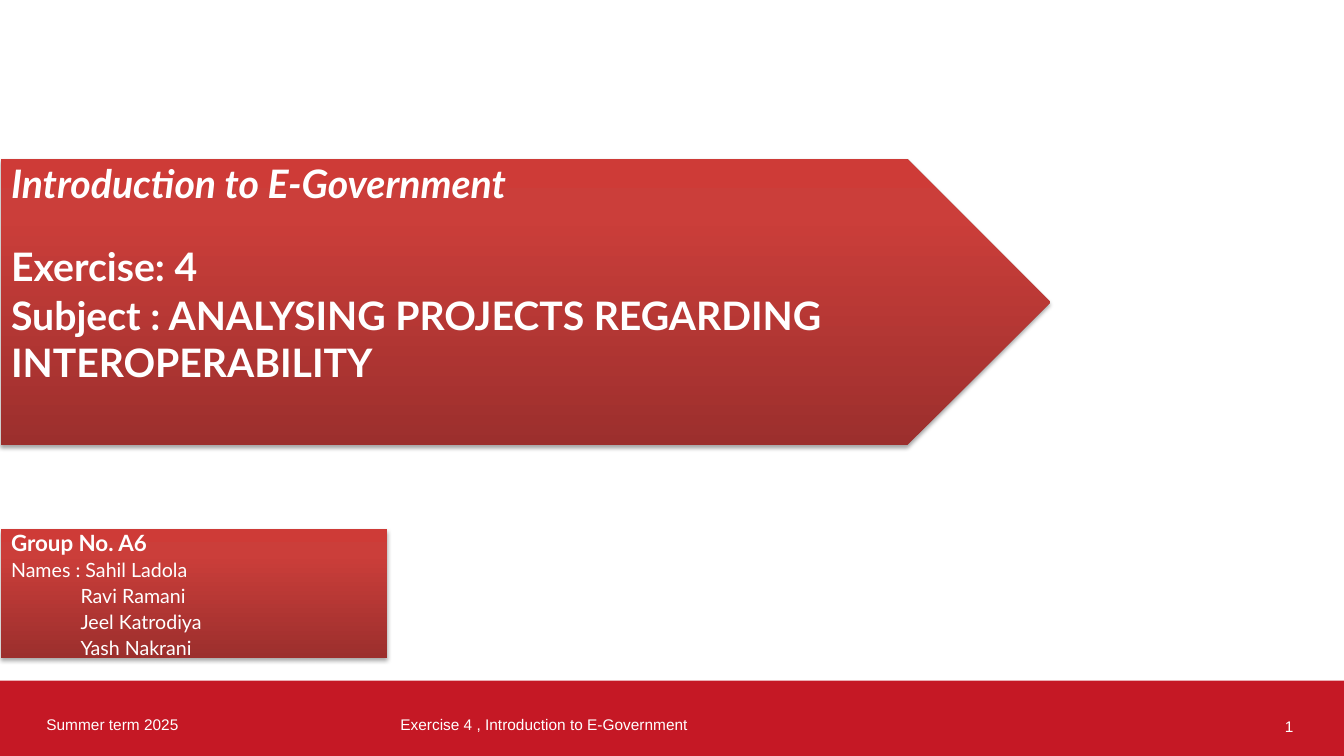
from dataclasses import dataclass

from lxml.etree import SubElement
from pptx import Presentation
from pptx.dml.color import RGBColor
from pptx.enum.shapes import MSO_SHAPE
from pptx.enum.text import MSO_ANCHOR, PP_ALIGN
from pptx.oxml import parse_xml
from pptx.oxml.ns import nsdecls, qn
from pptx.util import Cm, Pt


@dataclass(frozen=True)
class Theme:
    band: str = "C51825"
    text: str = "FFFFFF"
    shade: str = "000000"
    stops: tuple = ((0, "9C2F2D"), (80, "CB3E3A"), (100, "CE3B37"))
    head: str = "Lato"
    foot: str = "Arial"
    title: int = 28
    group: int = 16
    name: int = 14
    small: int = 11


THEME = Theme()


def add_run(para, text, font, size, bold=False, italic=False):
    run = para.add_run()
    run.text = text
    run.font.name = font
    run.font.size = Pt(size)
    run.font.bold = bold
    run.font.italic = italic
    run.font.color.rgb = RGBColor.from_string(THEME.text)


def set_frame(shape, left=0, top=0):
    frame = shape.text_frame
    frame.word_wrap = True
    frame.vertical_anchor = MSO_ANCHOR.TOP
    frame.margin_left, frame.margin_top = Cm(left), Cm(top)
    frame.margin_right = frame.margin_bottom = 0
    return frame


def add_para(frame, first, align=PP_ALIGN.JUSTIFY, indent=0, before=0):
    para = frame.paragraphs[0] if first else frame.add_paragraph()
    para.alignment = align
    para.space_before = Pt(before)
    para._p.get_or_add_pPr().set("marL", str(Cm(indent)))
    return para


def add_panel(slide, kind, box):
    """Shape with a vertical red gradient and a soft shadow."""
    shape = slide.shapes.add_shape(kind, *map(Cm, box))
    shape.line.fill.background()
    shape.fill.gradient()
    shape.fill.gradient_angle = 90
    stops = shape._element.spPr.find(qn("a:gradFill")).find(qn("a:gsLst"))
    for stop in list(stops):
        stops.remove(stop)
    for pos, color in THEME.stops:
        stop = SubElement(stops, qn("a:gs"), pos=str(pos * 1000))
        SubElement(stop, qn("a:srgbClr"), val=color)
    shape._element.spPr.append(parse_xml(
        f'<a:effectLst {nsdecls("a")}>'
        f'<a:outerShdw blurRad="{Pt(3.1)}" dist="{Pt(1.8)}" dir="5400000" rotWithShape="0">'
        f'<a:srgbClr val="{THEME.shade}"><a:alpha val="35000"/></a:srgbClr>'
        '</a:outerShdw></a:effectLst>'))
    return shape


def add_band(slide, box):
    band = slide.shapes.add_shape(MSO_SHAPE.RECTANGLE, *map(Cm, box))
    band.shadow.inherit = False
    band.fill.solid()
    band.fill.fore_color.rgb = RGBColor.from_string(THEME.band)
    band.line.fill.background()


def add_foot(slide, text, box, indent):
    frame = set_frame(slide.shapes.add_textbox(*map(Cm, box)))
    para = add_para(frame, True, PP_ALIGN.LEFT, indent)
    add_run(para, text, THEME.foot, THEME.small)


def add_card(slide, box, lines):
    frame = set_frame(add_panel(slide, MSO_SHAPE.RECTANGLE, box), top=0.13)
    for i, (text, indent) in enumerate(lines):
        para = add_para(frame, i == 0, indent=indent, before=3.4)
        para.line_spacing = Pt(15.1)
        size = THEME.name if i else THEME.group
        add_run(para, text, THEME.head, size, bold=i == 0)


def add_title(slide, box, lines):
    frame = set_frame(add_panel(slide, MSO_SHAPE.PENTAGON, box), left=0.25)
    for i, (text, align, before) in enumerate(lines):
        para = add_para(frame, i == 0, align, before=before)
        add_run(para, text, THEME.head, THEME.title, True, italic=i == 0)


def main():
    deck = Presentation()
    deck.slide_width, deck.slide_height = Cm(33.87), Cm(19.05)
    slide = deck.slides.add_slide(deck.slide_layouts[6])

    # Footer
    add_band(slide, (0, 17.15, 33.87, 1.9))
    add_foot(slide, "Exercise 4 , Introduction to E-Government", (10.06, 18.03, 14.76, 0.5), 0.03)
    add_foot(slide, "Summer term 2025", (1.14, 18.03, 3.5, 0.5), 0.03)
    add_foot(slide, "1", (32.05, 18.06, 0.69, 0.5), 0.33)

    # Group card
    add_card(slide, (0.03, 13.34, 9.73, 3.23), (
        ("Group No. A6", 0.25),
        ("Names : Sahil Ladola", 0.25),
        ("Ravi Ramani", 2),
        ("Jeel Katrodiya", 2),
        ("Yash Nakrani", 2),
    ))

    # Title arrow
    add_title(slide, (0.03, 4.01, 26.44, 7.21), (
        ("Introduction to E-Government", PP_ALIGN.JUSTIFY, 0),
        ("Exercise: 4", PP_ALIGN.JUSTIFY, 26),
        ("Subject : ANALYSING PROJECTS REGARDING INTEROPERABILITY", PP_ALIGN.LEFT, 0.9),
    ))

    deck.save("out.pptx")


if __name__ == "__main__":
    main()
